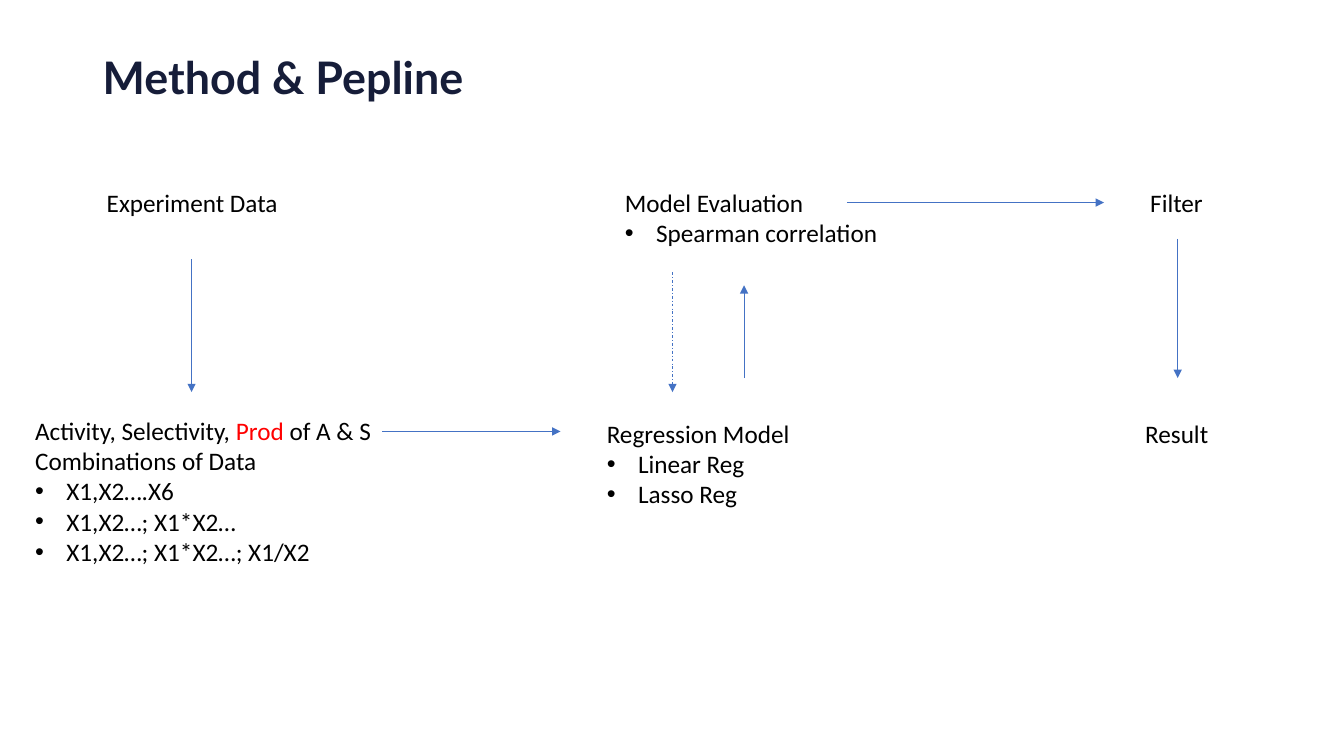
from lxml import etree
from pptx import Presentation
from pptx import util as u
from pptx.dml.color import RGBColor
from pptx.enum import dml, shapes, text
from pptx.oxml import ns


def color(value):
    return RGBColor.from_string(value)


class PipelineSlide:
    body_font = "Calibri"
    title_font = "Lato"
    body_size = 18
    title_size = 32
    ink = "000000"
    title_ink = "161D39"
    accent = "FF0000"
    arrow_color = "4472C4"
    bullet_indent = u.Inches(0.31)

    def __init__(self, presentation):
        self.slide = presentation.slides.add_slide(presentation.slide_layouts[6])

    def style_run(self, run, font, size, ink, bold=False):
        run.font.name = font
        run.font.size = u.Pt(size)
        run.font.color.rgb = color(ink)
        run.font.bold = bold

    def text_box(self, left, top, width, height):
        box = self.slide.shapes.add_textbox(
            u.Inches(left), u.Inches(top), u.Inches(width), u.Inches(height))
        return box.text_frame

    def title(self, left, top, width, height, words):
        frame = self.text_box(left, top, width, height)
        frame.text = words
        frame.word_wrap = True
        frame.vertical_anchor = text.MSO_ANCHOR.BOTTOM
        paragraph = frame.paragraphs[0]
        paragraph.line_spacing = 0.9
        self.style_run(paragraph.runs[0], self.title_font, self.title_size, self.title_ink, True)

    def bullet(self, paragraph):
        properties = paragraph._p.get_or_add_pPr()
        properties.set("marL", str(self.bullet_indent))
        properties.set("indent", str(-self.bullet_indent))
        etree.SubElement(properties, ns.qn("a:buFont")).set("typeface", "Arial")
        etree.SubElement(properties, ns.qn("a:buChar")).set("char", "•")

    def step(self, left, top, width, height, lines, bullets=(), highlight=None):
        frame = self.text_box(left, top, width, height)
        frame.word_wrap = False
        frame.auto_size = text.MSO_AUTO_SIZE.SHAPE_TO_FIT_TEXT
        frame.text = "\n".join([*lines, *bullets])
        for paragraph in frame.paragraphs[len(lines):]:
            self.bullet(paragraph)
        if highlight:
            self.split_runs(frame.paragraphs[0], highlight)
        for paragraph in frame.paragraphs:
            for run in paragraph.runs:
                ink = self.accent if run.text == highlight else self.ink
                self.style_run(run, self.body_font, self.body_size, ink)

    def split_runs(self, paragraph, highlight):
        parts = paragraph.text.partition(highlight)
        paragraph.runs[0].text = parts[0]
        for part in parts[1:]:
            paragraph.add_run().text = part

    def arrow(self, start, end, dash=None):
        connector = self.slide.shapes.add_connector(
            shapes.MSO_CONNECTOR.STRAIGHT, *map(u.Inches, (*start, *end)))
        connector.line.color.rgb = color(self.arrow_color)
        connector.line.width = u.Pt(0.5)
        if dash:
            connector.line.dash_style = dash
        line = connector.line._get_or_add_ln()
        etree.SubElement(line, ns.qn("a:tailEnd")).set("type", "triangle")
        etree.SubElement(connector._element.spPr, ns.qn("a:effectLst"))


def main():
    presentation = Presentation()
    presentation.slide_width = u.Inches(13.33)
    presentation.slide_height = u.Inches(7.5)

    page = PipelineSlide(presentation)
    page.title(0.92, 0.4, 11.5, 0.68, "Method & Pepline")

    upper, lower = 1.81, 4.1
    page.step(0.96, upper, 1.92, 0.4, ["Experiment Data"])
    page.step(0.25, 4.07, 3.66, 1.62,
              ["Activity, Selectivity, Prod of A & S", "Combinations of Data"],
              ["X1,X2….X6", "X1,X2…; X1*X2…", "X1,X2…; X1*X2…; X1/X2"],
              highlight="Prod")
    page.step(5.92, lower, 2.03, 1.01, ["Regression Model"], ["Linear Reg", "Lasso Reg"])
    page.step(6.1, upper, 2.74, 0.71, ["Model Evaluation"], ["Spearman correlation"])
    page.step(11.31, upper, 0.73, 0.4, ["Filter"])
    page.step(11.26, lower, 0.83, 0.4, ["Result"])

    page.arrow((1.9, 2.57), (1.9, 3.89))
    page.arrow((3.79, 4.28), (5.56, 4.28))
    page.arrow((7.38, 3.75), (7.38, 2.83))
    page.arrow((6.67, 2.7), (6.67, 3.89), dml.MSO_LINE.DASH_DOT)
    page.arrow((8.4, 2.01), (10.95, 2.01))
    page.arrow((11.68, 2.37), (11.68, 3.75))

    presentation.save("out.pptx")


if __name__ == "__main__":
    main()
